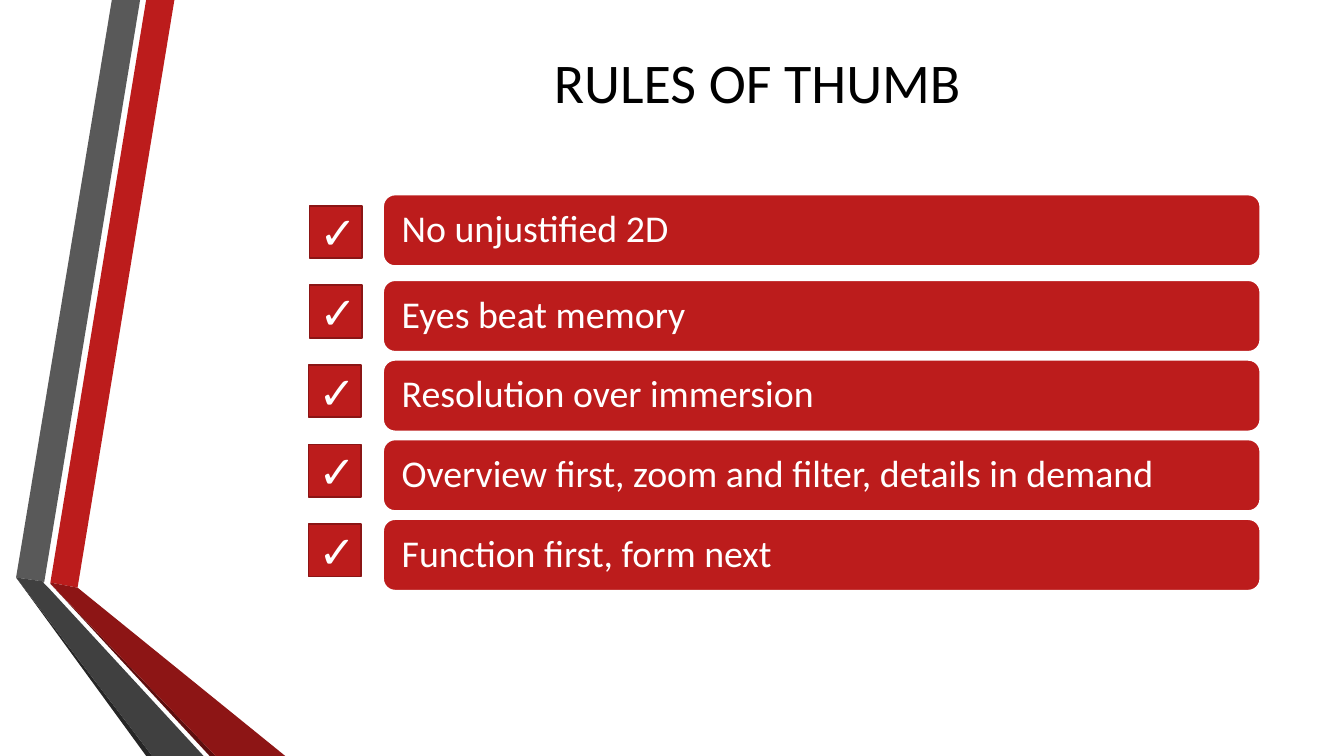
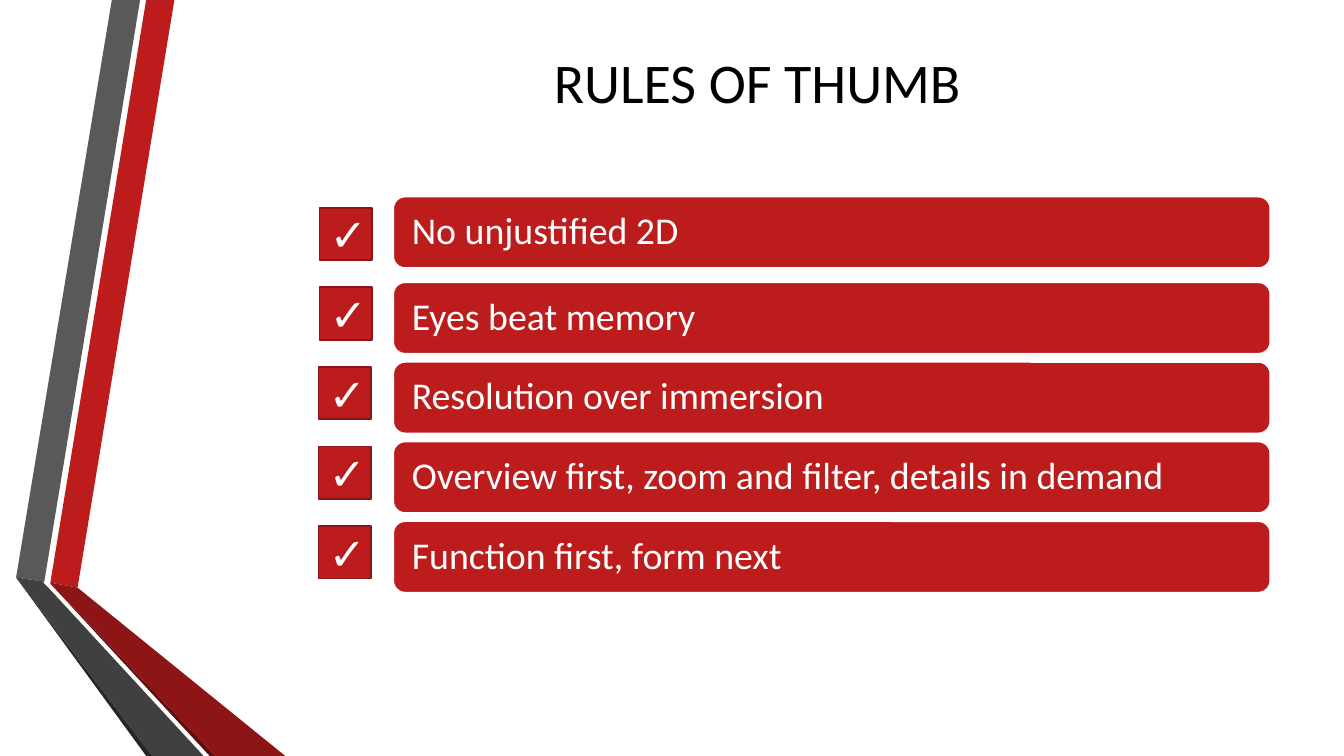
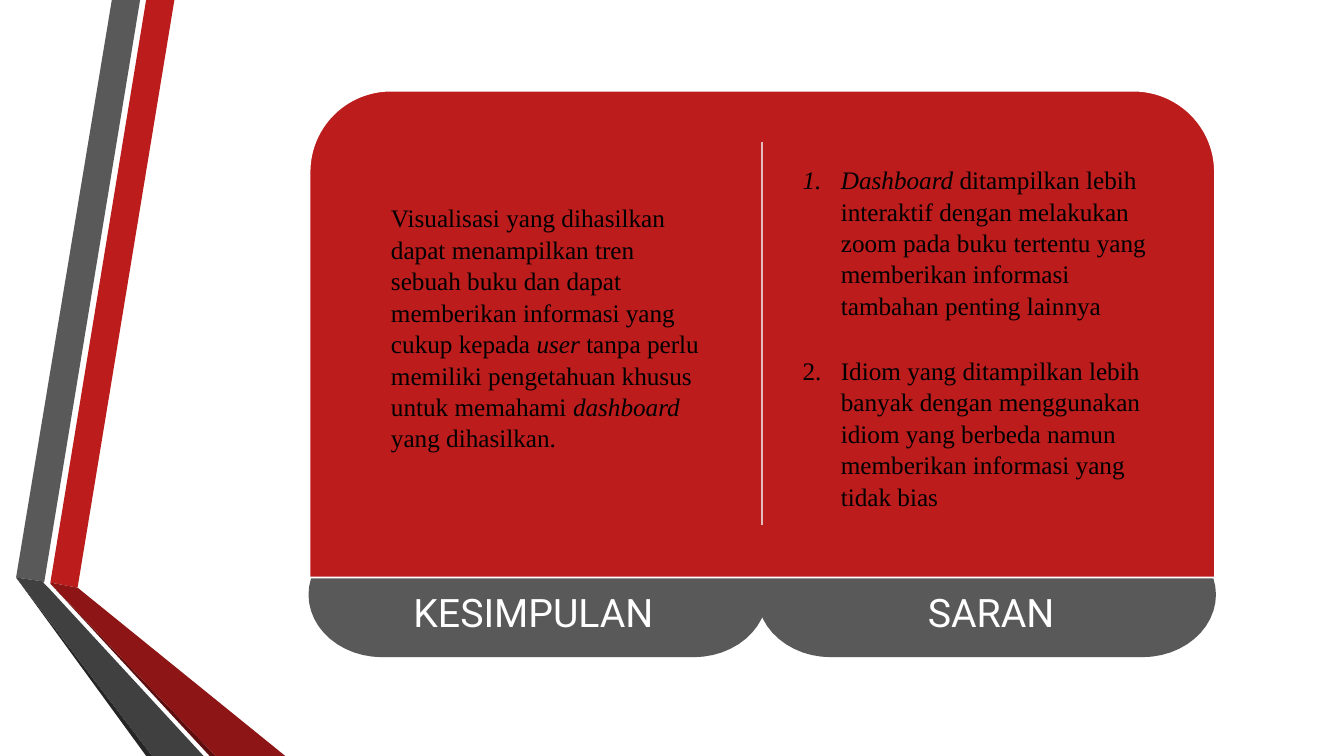
import math

from lxml import etree
from pptx import Presentation
from pptx import util as u
from pptx.dml.color import RGBColor
from pptx.enum import shapes, text
from pptx.oxml.ns import qn

COLORS = {
    "red": "BC1C1C", "edge": "8B1515", "fold": "8D1515", "deep": "5E0E0E",
    "grey": "595959", "charcoal": "404040", "coal": "262626",
    "divider": "E1BDBD", "white": "FFFFFF", "black": "000000",
}

RIBBONS = [
    ("red", [(0.5, 5.78), (0.77, 5.83), (1.73, 0), (1.45, 0)]),
    ("grey", [(1.39, 0), (1.11, 0), (0.16, 5.73), (0.44, 5.77)]),
    ("coal", [(0.16, 5.73), (1.45, 7.5), (1.51, 7.5)]),
    ("deep", [(0.5, 5.79), (2.08, 7.5), (2.14, 7.5)]),
    ("fold", [(0.5, 5.79), (2.14, 7.5), (2.83, 7.5), (0.77, 5.83), (0.5, 5.78)]),
    ("charcoal", [(2.02, 7.5), (0.48, 5.83), (0.43, 5.78), (0.44, 5.77),
                  (0.16, 5.73), (1.51, 7.5)]),
]

RULES = [
    "No unjustified 2D",
    "Eyes beat memory",
    "Resolution over immersion",
    "Overview first, zoom and filter, details in demand",
    "Function first, form next",
]

CONCLUSION = [
    ("Visualisasi yang dihasilkan dapat menampilkan tren sebuah buku dan dapat "
     "memberikan informasi yang cukup kepada ", False),
    ("user ", True),
    ("tanpa perlu memiliki pengetahuan khusus untuk memahami ", False),
    ("dashboard", True),
    (" yang dihasilkan.", False),
]

SUGGESTIONS = [
    [("Dashboard ", True),
     ("ditampilkan lebih interaktif dengan melakukan zoom pada buku tertentu yang "
      "memberikan informasi tambahan penting lainnya", False)],
    [("Idiom yang ditampilkan lebih banyak dengan menggunakan idiom yang berbeda "
      "namun memberikan informasi yang tidak bias", False)],
]

TITLE_AND_BODY, TITLE_ONLY = 1, 5


def rgb(name):
    return RGBColor.from_string(COLORS[name])


def inches(*values):
    return [u.Inches(value) for value in values]


class Slides:
    def __init__(self):
        self.deck = Presentation()
        self.deck.slide_width, self.deck.slide_height = inches(13.33, 7.5)
        self.slide = None

    def new_slide(self, layout):
        first = self.slide is None
        self.slide = self.deck.slides.add_slide(self.deck.slide_layouts[layout])
        if first:
            self.ribbons_to_master()

    def ribbons_to_master(self):
        """Draw the ribbons on the current slide, then move them behind the master's parts."""
        tree = self.deck.slide_master.shapes.element
        for index, (color, points) in enumerate(RIBBONS):
            ribbon = self.outline(points, color)
            ribbon.element.nvSpPr.cNvPr.set("id", str(100 + index))
            tree.insert(2 + index, ribbon.element)

    def paint(self, shape, fill, line=None):
        shape.shadow.inherit = False
        shape.fill.solid()
        shape.fill.fore_color.rgb = rgb(fill)
        if line:
            shape.line.color.rgb = rgb(line)
            shape.line.width = u.Pt(1.25)
        else:
            shape.line.fill.background()

    def outline(self, points, fill):
        corners = [inches(*point) for point in points]
        builder = self.slide.shapes.build_freeform(*corners[0], scale=1.0)
        builder.add_line_segments(corners[1:], close=True)
        shape = builder.convert_to_shape()
        self.paint(shape, fill)
        return shape

    def shape(self, kind, place, fill, line=None):
        shape = self.slide.shapes.add_shape(kind, *inches(*place))
        self.paint(shape, fill, line)
        return shape

    def pill(self, left, top, width, height, fill):
        """Bar whose ends are half ellipses."""
        reach, rise, steps = 0.73, height / 2, 24
        points = []
        for center, start in ((left + width - reach, -90), (left + reach, 90)):
            for step in range(steps + 1):
                angle = math.radians(start + 180 * step / steps)
                points.append((center + reach * math.cos(angle),
                               top + rise + rise * math.sin(angle)))
        self.outline(points, fill)

    def line(self, start, end, color):
        line = self.slide.shapes.add_connector(
            shapes.MSO_CONNECTOR.STRAIGHT, *inches(*start, *end))
        line.line.color.rgb = rgb(color)
        line.line.width = u.Pt(1.25)
        etree.SubElement(line.element.spPr, qn("a:effectLst"))

    def style(self, para, size, color, font="Calibri", align=text.PP_ALIGN.LEFT):
        para.alignment = align
        for span in para.runs:
            span.font.size = u.Pt(size)
            span.font.name = font
            span.font.color.rgb = rgb(color)

    def label(self, shape, words, size, color="white", **style):
        frame = shape.text_frame
        frame.text = words
        frame.vertical_anchor = text.MSO_ANCHOR.MIDDLE
        self.style(frame.paragraphs[0], size, color, **style)
        return frame

    def place(self, shape, left, top, width, height):
        shape.left, shape.top, shape.width, shape.height = inches(left, top, width, height)
        shape.text_frame.auto_size = text.MSO_AUTO_SIZE.NONE

    def title(self, words):
        title = self.slide.shapes.title
        self.place(title, 2.03, 0.41, 10.96, 0.79)
        self.label(title, words, 40, "black", align=text.PP_ALIGN.CENTER)

    def text_box(self, *place):
        frame = self.slide.shapes.add_textbox(*inches(*place)).text_frame
        frame.word_wrap = True
        return frame

    def caption(self, words, *place):
        frame = self.text_box(*place)
        frame.text = words
        self.style(frame.paragraphs[0], 28, "white", "Roboto", text.PP_ALIGN.CENTER)

    def prose(self, para, spans):
        for words, italic in spans:
            span = para.add_run()
            span.text = words
            span.font.italic = italic
        para.line_spacing = 1.04
        self.style(para, 18, "black", "Times New Roman")

    def numbered_list(self, items, *place):
        body = self.slide.placeholders[1]
        self.place(body, *place)
        self.slide.shapes.element.append(body.element)  # bring to the front
        frame = body.text_frame
        for index, spans in enumerate(items):
            para = frame.add_paragraph() if index else frame.paragraphs[0]
            props = para._p.get_or_add_pPr()
            props.set("marL", str(u.Inches(0.38)))
            props.set("indent", str(u.Inches(-0.38)))
            etree.SubElement(props, qn("a:buFont"), typeface="+mj-lt")
            etree.SubElement(props, qn("a:buAutoNum"), type="arabicPeriod")
            para.space_before = u.Pt(12 if index else 0)
            para.space_after = u.Pt(12)
            self.prose(para, spans)

    def rule_bar(self, words, left, top):
        bar = self.shape(shapes.MSO_SHAPE.ROUNDED_RECTANGLE,
                         (left, top, 8.7, 0.71), "red", "white")
        frame = self.label(bar, words, 27)
        frame.margin_left = frame.margin_right = u.Inches(0.15)
        frame.paragraphs[0].line_spacing = 0.9

    def check_box(self, left, top):
        box = self.shape(shapes.MSO_SHAPE.RECTANGLE, (left, top, 0.52, 0.52), "red", "edge")
        self.label(box, "✓", 32, align=text.PP_ALIGN.CENTER)


def rules_slide(slides, left, top):
    """left and top are those of the first bar."""
    slides.new_slide(TITLE_ONLY)
    slides.title("RULES OF THUMB")
    for index, rule in enumerate(RULES):
        first_gap = 0.06 if index else 0
        slides.rule_bar(rule, left, top + first_gap + 0.79 * index)
    for index in range(len(RULES)):
        nudge = 0.01 if index < 2 else 0
        slides.check_box(left - 0.74 + nudge, top + 0.11 + 0.79 * index)


def closing_slide(slides):
    slides.new_slide(TITLE_AND_BODY)
    title = slides.slide.shapes.title.element
    title.getparent().remove(title)
    for left in (7.51, 3.06):
        slides.pill(left, 5.28, 4.55, 1.24, "grey")
    slides.shape(shapes.MSO_SHAPE.ROUND_2_SAME_RECTANGLE,
                 (3.07, 0.9, 8.98, 4.83), "red", "white")
    slides.line((7.56, 1.41), (7.56, 5.21), "divider")
    slides.numbered_list(SUGGESTIONS, 7.86, 1.57, 3.75, 3.47)
    slides.prose(slides.text_box(3.78, 1.95, 3.33, 2.52).paragraphs[0], CONCLUSION)
    for words, left in (("KESIMPULAN", 3.28), ("SARAN", 7.82)):
        slides.caption(words, left, 5.79, 4.02, 0.85)


def main():
    slides = Slides()
    rules_slide(slides, 3.8, 1.93)
    rules_slide(slides, 3.9, 1.95)
    closing_slide(slides)
    slides.deck.save("out.pptx")


if __name__ == "__main__":
    main()
